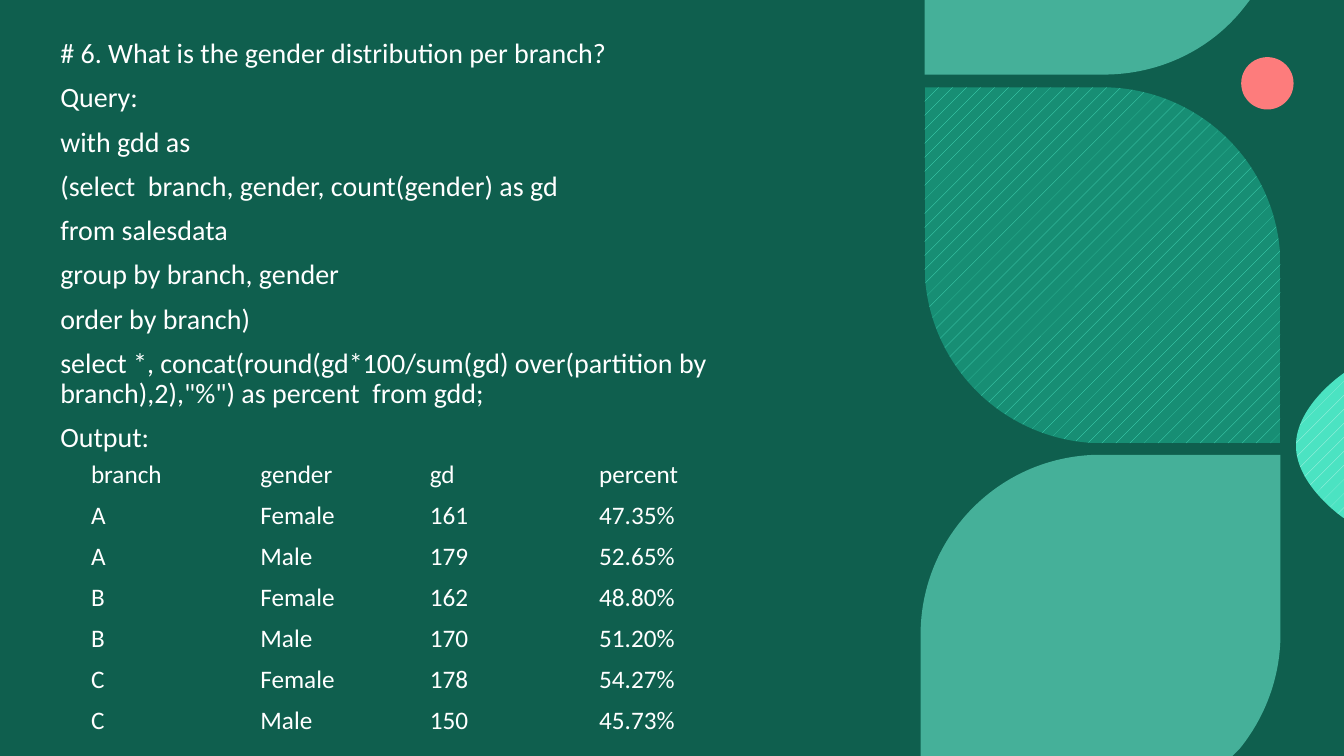
import pptx
import pptx.util
import pptx.dml.color
import pptx.enum.dml
import pptx.enum.shapes
import pptx.enum.text
import pptx.oxml
import pptx.oxml.ns
import lxml.etree

Cm = pptx.util.Cm
Pt = pptx.util.Pt
RGBColor = pptx.dml.color.RGBColor
SHAPE = pptx.enum.shapes.MSO_SHAPE
qn = pptx.oxml.ns.qn

BACKGROUND = RGBColor(0x09, 0x39, 0x2F)
VEIL = RGBColor(0x18, 0x99, 0x7E)
LEAF = RGBColor(0x69, 0xE7, 0xCC)
LEAF_DARK = RGBColor(0x17, 0x8E, 0x74)
MINT = RGBColor(0x4B, 0xE3, 0xC2)
MINT_PALE = RGBColor(0xC3, 0xF6, 0xEB)
CORAL = RGBColor(0xFD, 0x7C, 0x7C)
WHITE = RGBColor(0xFF, 0xFF, 0xFF)
FONT = "Calibri"
NO_STYLE = "{2D5ABB26-0587-4C30-8999-92F81FD0307C}"

QUERY_LINES = [
    "# 6. What is the gender distribution per branch?",
    "Query:",
    "with gdd as",
    "(select  branch, gender, count(gender) as gd",
    "from salesdata",
    "group by branch, gender",
    "order by branch)",
    'select *, concat(round(gd*100/sum(gd) over(partition by branch),2),"%") as percent  from gdd;',
    "Output:",
]

RESULT_ROWS = [
    ("branch", "gender", "gd", "percent"),
    ("A", "Female", "161", "47.35%"),
    ("A", "Male", "179", "52.65%"),
    ("B", "Female", "162", "48.80%"),
    ("B", "Male", "170", "51.20%"),
    ("C", "Female", "178", "54.27%"),
    ("C", "Male", "150", "45.73%"),
]

TOP_LEAF = [
    [(23.3, 0)],
    [(31.5, 0)],
    [(31.32, 0.23)],
    [(30.51, 1.24), (29.24, 1.88), (27.81, 1.88)],
    [(23.3, 1.88)],
]
BOTTOM_LEAF = [
    [(27.74, 11.46)],
    [(32.27, 11.46)],
    [(32.27, 15.98)],
    [(32.27, 17.07), (31.88, 18.08), (31.24, 18.87)],
    [(31.06, 19.05)],
    [(23.2, 19.05)],
    [(23.2, 16)],
    [(23.2, 13.49), (25.22, 11.46), (27.74, 11.46)],
]
EDGE_LEAF = [
    [(33.87, 9.4)],
    [(33.87, 13.06)],
    [(33.87, 13.06), (32.66, 12.24), (32.66, 11.23)],
    [(32.66, 10.21), (33.87, 9.4), (33.87, 9.4)],
]


def paint(shape, color, opacity=100, pattern_color=None):
    shape.shadow.inherit = False
    shape.line.fill.background()
    if pattern_color is not None:
        shape.fill.patterned()
        shape.fill.pattern = pptx.enum.dml.MSO_PATTERN.PERCENT_5
        shape.fill.fore_color.rgb = pattern_color
        shape.fill.back_color.rgb = color
        return
    shape.fill.solid()
    shape.fill.fore_color.rgb = color
    if opacity < 100:
        tint = shape._element.spPr.find(qn("a:solidFill")).find(qn("a:srgbClr"))
        lxml.etree.SubElement(tint, qn("a:alpha")).set("val", str(opacity * 1000))


def add_outline(page, steps):
    points = [(Cm(x), Cm(y)) for step in steps for x, y in step]
    builder = page.shapes.build_freeform(*points[0])
    builder.add_line_segments(points[1:], close=True)
    shape = builder.convert_to_shape()
    segments = iter(list(next(shape._element.iter(qn("a:path")))))
    for step in steps:
        parts = [next(segments) for point in step]
        if len(parts) == 3:
            curve = pptx.oxml.parse_xml(f"<a:cubicBezTo {pptx.oxml.ns.nsdecls('a')}/>")
            parts[0].addprevious(curve)
            for part in parts:
                curve.append(part[0])
                part.getparent().remove(part)
    return shape


def style_text(paragraph, size):
    for span in paragraph.runs:
        span.font.name = FONT
        span.font.size = Pt(size)
        span.font.color.rgb = WHITE


def add_decoration(page, width, height):
    veil = page.shapes.add_shape(SHAPE.RECTANGLE, 0, 0, width, height)
    paint(veil, VEIL, opacity=40)
    dot = page.shapes.add_shape(SHAPE.OVAL, Cm(31.28), Cm(1.44), Cm(1.32), Cm(1.32))
    paint(dot, CORAL)
    paint(add_outline(page, TOP_LEAF), LEAF, opacity=60)
    paint(add_outline(page, BOTTOM_LEAF), LEAF, opacity=60)
    paint(add_outline(page, EDGE_LEAF), MINT, pattern_color=MINT_PALE)
    middle_leaf = page.shapes.add_shape(
        SHAPE.ROUND_2_DIAG_RECTANGLE, Cm(23.3), Cm(2.2), Cm(8.97), Cm(8.97)
    )
    middle_leaf.adjustments[0] = 0
    middle_leaf.adjustments[1] = 0.5
    paint(middle_leaf, LEAF_DARK, pattern_color=MINT)


def add_query(page):
    box = page.shapes.add_textbox(Cm(1.27), Cm(0.87), Cm(21.34), Cm(16.28))
    box.text_frame.word_wrap = True
    box.text_frame.text = "\n".join(QUERY_LINES)
    for paragraph in box.text_frame.paragraphs:
        paragraph.line_spacing = 0.9
        paragraph.space_before = Pt(10)
        style_text(paragraph, 20)


def add_result(page):
    frame = page.shapes.add_table(
        len(RESULT_ROWS), len(RESULT_ROWS[0]), Cm(2.04), Cm(11.46), Cm(17.08), Cm(7.23)
    )
    table = frame.table
    table.first_row = False
    table.horz_banding = False
    table._tbl.tblPr.find(qn("a:tableStyleId")).text = NO_STYLE
    for row, values in zip(table.rows, RESULT_ROWS):
        for cell, value in zip(row.cells, values):
            cell.text_frame.text = value
            cell.fill.background()
            cell.vertical_anchor = pptx.enum.text.MSO_ANCHOR.MIDDLE
            style_text(cell.text_frame.paragraphs[0], 18)


def main():
    deck = pptx.Presentation()
    deck.slide_width = Cm(33.87)
    deck.slide_height = Cm(19.05)
    page = deck.slides.add_slide(deck.slide_layouts[6])
    page.background.fill.solid()
    page.background.fill.fore_color.rgb = BACKGROUND
    add_decoration(page, deck.slide_width, deck.slide_height)
    add_query(page)
    add_result(page)
    deck.save("out.pptx")


if __name__ == "__main__":
    main()
